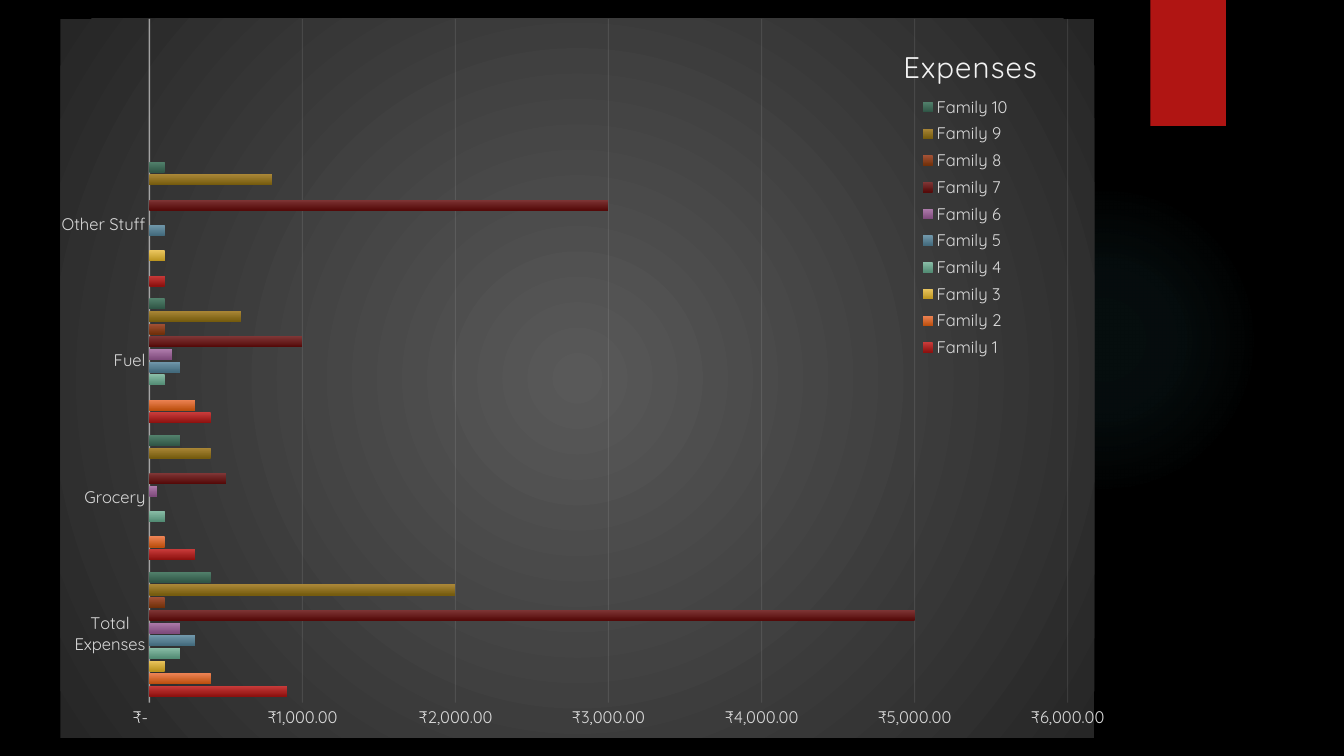
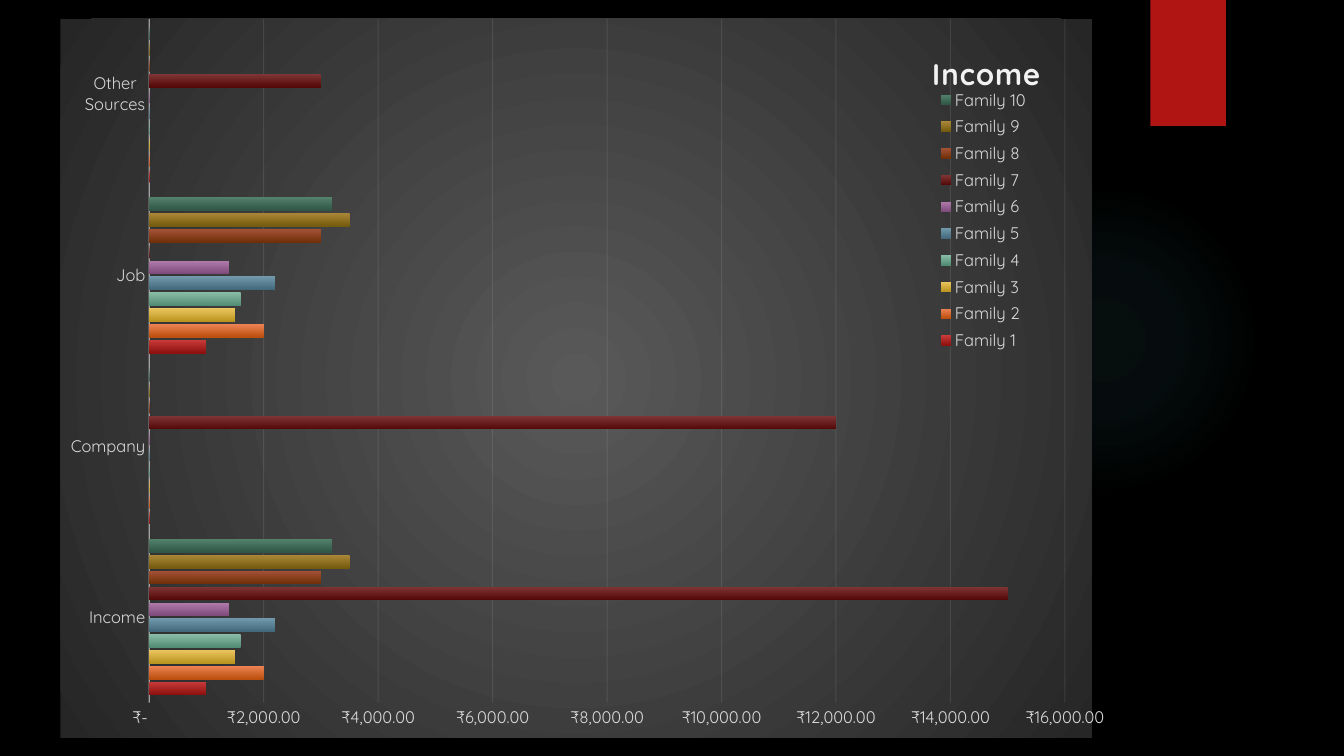
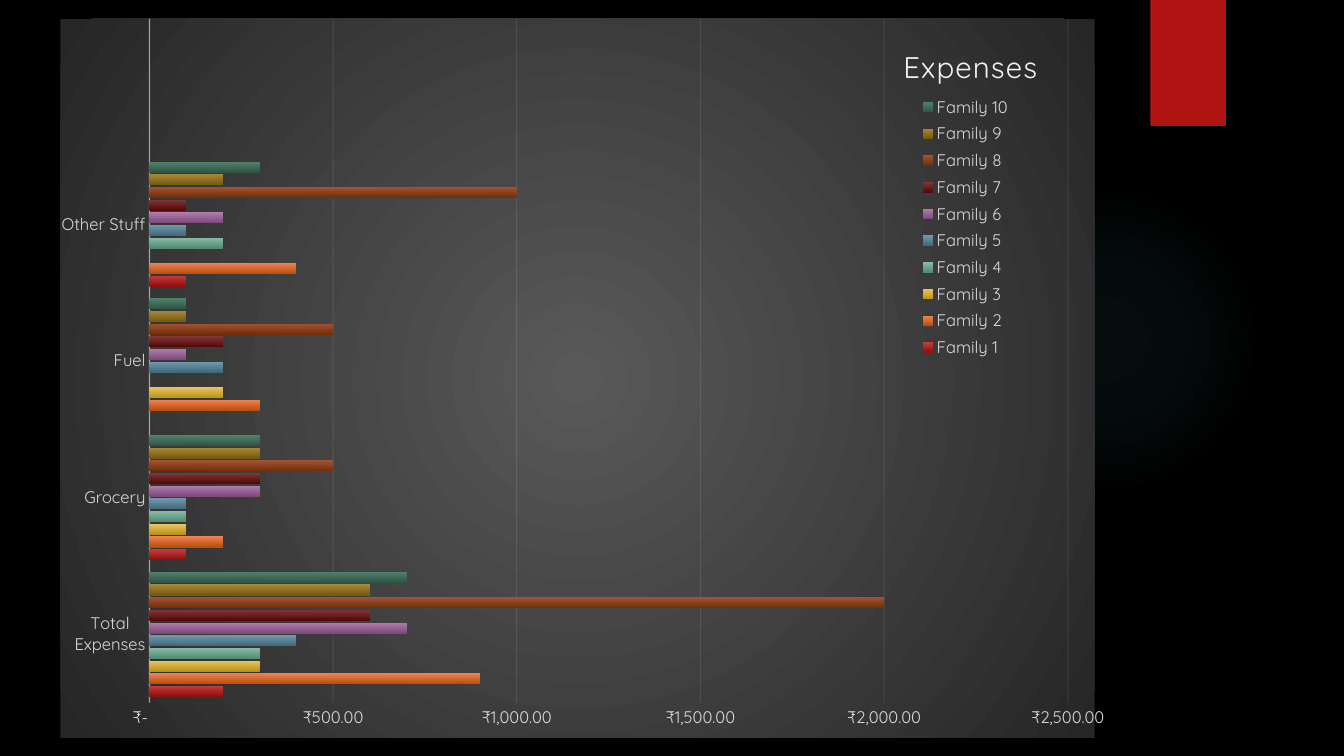
from lxml.etree import SubElement
from pptx import Presentation
from pptx.chart.data import CategoryChartData
from pptx.dml.color import RGBColor
from pptx.enum.chart import XL_CHART_TYPE, XL_LEGEND_POSITION, XL_TICK_MARK
from pptx.enum.shapes import MSO_SHAPE
from pptx.oxml import parse_xml
from pptx.oxml.ns import nsdecls, qn
from pptx.util import Inches, Pt

FONT = "Quicksand"
BLACK = RGBColor(0x00, 0x00, 0x00)
WHITE = RGBColor(0xFF, 0xFF, 0xFF)
RED = RGBColor(0xB0, 0x15, 0x13)
TEAL = RGBColor(0x50, 0xB9, 0xC1)
PALE = RGBColor(0xF2, 0xF2, 0xF2)
LABEL_GREY = RGBColor(0xD9, 0xD9, 0xD9)
MID_GREY = RGBColor(0x59, 0x59, 0x59)
DARK_GREY = RGBColor(0x26, 0x26, 0x26)
FAMILY_COLORS = [
    (RGBColor(0xC9, 0x3B, 0x3A), RGBColor(0x8D, 0x11, 0x0F)),
    (RGBColor(0xEE, 0x84, 0x55), RGBColor(0xBC, 0x4F, 0x0E)),
    (RGBColor(0xEB, 0xC6, 0x5F), RGBColor(0xBB, 0x94, 0x1F)),
    (RGBColor(0x89, 0xBD, 0xA7), RGBColor(0x53, 0x8C, 0x74)),
    (RGBColor(0x71, 0x98, 0xAB), RGBColor(0x43, 0x6A, 0x7C)),
    (RGBColor(0xAF, 0x7C, 0xAC), RGBColor(0x7F, 0x4B, 0x7C)),
    (RGBColor(0x7F, 0x36, 0x36), RGBColor(0x55, 0x0A, 0x09)),
    (RGBColor(0xA4, 0x52, 0x36), RGBColor(0x71, 0x30, 0x09)),
    (RGBColor(0xAA, 0x87, 0x37), RGBColor(0x75, 0x5B, 0x0E)),
    (RGBColor(0x52, 0x81, 0x6C), RGBColor(0x30, 0x56, 0x46)),
]
RUPEES = '_("₹"* #,##0.00_);_("₹"* \\(#,##0.00\\);_("₹"* "-"??_);_(@_)'
LABEL_FONT = {"name": FONT, "size": Pt(12)}
EXPENSE_CATEGORIES = ["Total Expenses", "Grocery", "Fuel", "Other Stuff", ""]
EXPENSE_STYLE = {
    "title": "Expenses", "bold": False, "categories": EXPENSE_CATEGORIES,
    "title_at": (0.81, 0.03), "legend_at": (0.82, 0.1, 0.11, 0.38),
}
CHARTS = [
    {
        **EXPENSE_STYLE, "maximum": 6000, "step": 1000,
        "values": [
            (900, 300, 400, 100, None),
            (400, 100, 300, 0, None),
            (100, 0, 0, 100, None),
            (200, 100, 100, 0, None),
            (300, 0, 200, 100, None),
            (200, 50, 150, 0, None),
            (5000, 500, 1000, 3000, None),
            (100, 0, 100, 0, None),
            (2000, 400, 600, 800, None),
            (400, 200, 100, 100, None),
        ],
    },
    {
        "title": "Income", "bold": True,
        "categories": ["Income", "Company", "Job", "Other Sources\n"],
        "title_at": (0.84, 0.04), "legend_at": (0.84, 0.09, 0.11, 0.38),
        "maximum": 16000, "step": 2000,
        "values": [
            (1000, 0, 1000, 0),
            (2000, 0, 2000, 0),
            (1500, 0, 1500, 0),
            (1600, 0, 1600, 0),
            (2200, 0, 2200, 0),
            (1400, 0, 1400, 0),
            (15000, 12000, 0, 3000),
            (3000, 0, 3000, 0),
            (3500, 0, 3500, 0),
            (3200, 0, 3200, 0),
        ],
    },
    {
        **EXPENSE_STYLE, "maximum": 2500, "step": 500,
        "values": [
            (200, 100, 0, 100, None),
            (900, 200, 300, 400, None),
            (300, 100, 200, 0, None),
            (300, 100, 0, 200, None),
            (400, 100, 200, 100, None),
            (700, 300, 100, 200, None),
            (600, 300, 200, 100, None),
            (2000, 500, 500, 1000, None),
            (600, 300, 100, 200, None),
            (700, 300, 100, 300, None),
        ],
    },
]


def radial_fill(stops):
    stop_xml = "".join(
        f'<a:gs pos="{position * 1000}"><a:srgbClr val="{color}">'
        f'<a:alpha val="{opacity * 1000}"/></a:srgbClr></a:gs>'
        for position, color, opacity in stops
    )
    return parse_xml(
        f'<a:gradFill {nsdecls("a")} rotWithShape="1"><a:gsLst>{stop_xml}</a:gsLst>'
        '<a:path path="circle"><a:fillToRect l="50000" t="50000" r="50000" b="50000"/>'
        "</a:path></a:gradFill>"
    )


def place_part(part, previous_tag, fractions):
    for old_layout in part.findall(qn("c:layout")):
        part.remove(old_layout)
    layout = parse_xml(f'<c:layout {nsdecls("c")}><c:manualLayout/></c:layout>')
    settings = {"xMode": "edge", "yMode": "edge", **dict(zip("xywh", fractions))}
    if previous_tag:
        part.find(qn(previous_tag)).addnext(layout)
    else:
        part.insert(0, layout)
        settings = {"layoutTarget": "inner", **settings}
    for name, value in settings.items():
        SubElement(layout[0], qn(f"c:{name}")).set("val", str(value))


presentation = Presentation()
presentation.slide_width = Inches(13.33)
presentation.slide_height = Inches(7.5)
master = presentation.slide_master
master.background.fill.solid()
master.background.fill.fore_color.rgb = BLACK
blank_layout = presentation.slide_layouts[6]
slides = [presentation.slides.add_slide(blank_layout) for _ in CHARTS]

glow = slides[0].shapes.add_shape(
    MSO_SHAPE.OVAL, Inches(9.41), Inches(1.83), Inches(3.08), Inches(3.08))
ribbon = slides[0].shapes.add_shape(
    MSO_SHAPE.RECTANGLE, Inches(11.41), Inches(0), Inches(0.75), Inches(1.25))
ribbon.fill.solid()
ribbon.fill.fore_color.rgb = RED
glow_geometry = glow._element.spPr.find(qn("a:prstGeom"))
glow_geometry.addnext(radial_fill([(0, TEAL, 7), (36, TEAL, 6), (69, TEAL, 0)]))
for shape in (glow, ribbon):
    shape.line.fill.background()
    shape.shadow.inherit = False
    blank_layout.shapes._spTree.append(shape._element)

for slide, content in zip(slides, CHARTS):
    chart_data = CategoryChartData()
    chart_data.categories = content["categories"]
    for number, values in enumerate(content["values"], 1):
        chart_data.add_series(f"Family {number}", values)
    chart = slide.shapes.add_chart(
        XL_CHART_TYPE.BAR_CLUSTERED, Inches(0.6), Inches(0.18),
        Inches(10.4), Inches(7.14), chart_data).chart
    chart.font.name = FONT
    chart.font.size = Pt(10)
    chart.font.color.rgb = WHITE
    background = parse_xml(f'<c:spPr {nsdecls("c", "a")}><a:ln><a:noFill/></a:ln></c:spPr>')
    background.insert(0, radial_fill([(0, MID_GREY, 100), (100, DARK_GREY, 100)]))
    chart._chartSpace.find(qn("c:txPr")).addprevious(background)

    plot = chart.plots[0]
    for name, value in {"gap_width": 115, "overlap": -20, "vary_by_categories": False}.items():
        setattr(plot, name, value)
    for series, colors in zip(plot.series, FAMILY_COLORS):
        fill = series.format.fill
        fill.gradient()
        fill.gradient_angle = 270
        for stop, color, position in zip(fill.gradient_stops, colors, (0, 1)):
            stop.color.rgb = color
            stop.position = position

    chart.has_title = True
    title_frame = chart.chart_title.text_frame
    title_frame.text = content["title"]
    title_run = title_frame.paragraphs[0].runs[0]
    title_format = {"name": FONT, "size": Pt(21.3), "bold": content["bold"]}
    for name, value in title_format.items():
        setattr(title_run.font, name, value)
    title_run.font.color.rgb = PALE
    title_run._r.get_or_add_rPr().set("spc", "100")
    chart.chart_title.include_in_layout = False

    chart.has_legend = True
    chart.legend.position = XL_LEGEND_POSITION.CORNER
    chart.legend.include_in_layout = False

    category_axis, value_axis = chart.category_axis, chart.value_axis
    for axis in (category_axis, value_axis):
        axis.major_tick_mark = XL_TICK_MARK.NONE
        axis.minor_tick_mark = XL_TICK_MARK.NONE
    for font in (category_axis.tick_labels.font, value_axis.tick_labels.font, chart.legend.font):
        for name, value in LABEL_FONT.items():
            setattr(font, name, value)
        font.color.rgb = LABEL_GREY
    scale = {"minimum_scale": 0, "maximum_scale": content["maximum"],
             "major_unit": content["step"], "has_major_gridlines": True}
    for name, value in scale.items():
        setattr(value_axis, name, value)
    value_axis.tick_labels.number_format = RUPEES
    value_axis.tick_labels.number_format_is_linked = False
    value_axis.format.line.fill.background()
    for line, width, opacity in (
        (category_axis.format.line, 1, 54),
        (value_axis.major_gridlines.format.line, 0.75, 10),
    ):
        line.width = Pt(width)
        line.color.rgb = PALE
        for color_element in line._get_or_add_ln().iter(qn("a:srgbClr")):
            SubElement(color_element, qn("a:alpha")).set("val", str(opacity * 1000))

    place_part(chart._chartSpace.chart.plotArea, None, (0.086, 0, 0.888, 0.951))
    place_part(chart.chart_title._element, "c:tx", content["title_at"])
    place_part(chart.legend._element, "c:legendPos", content["legend_at"])

presentation.save("out.pptx")
